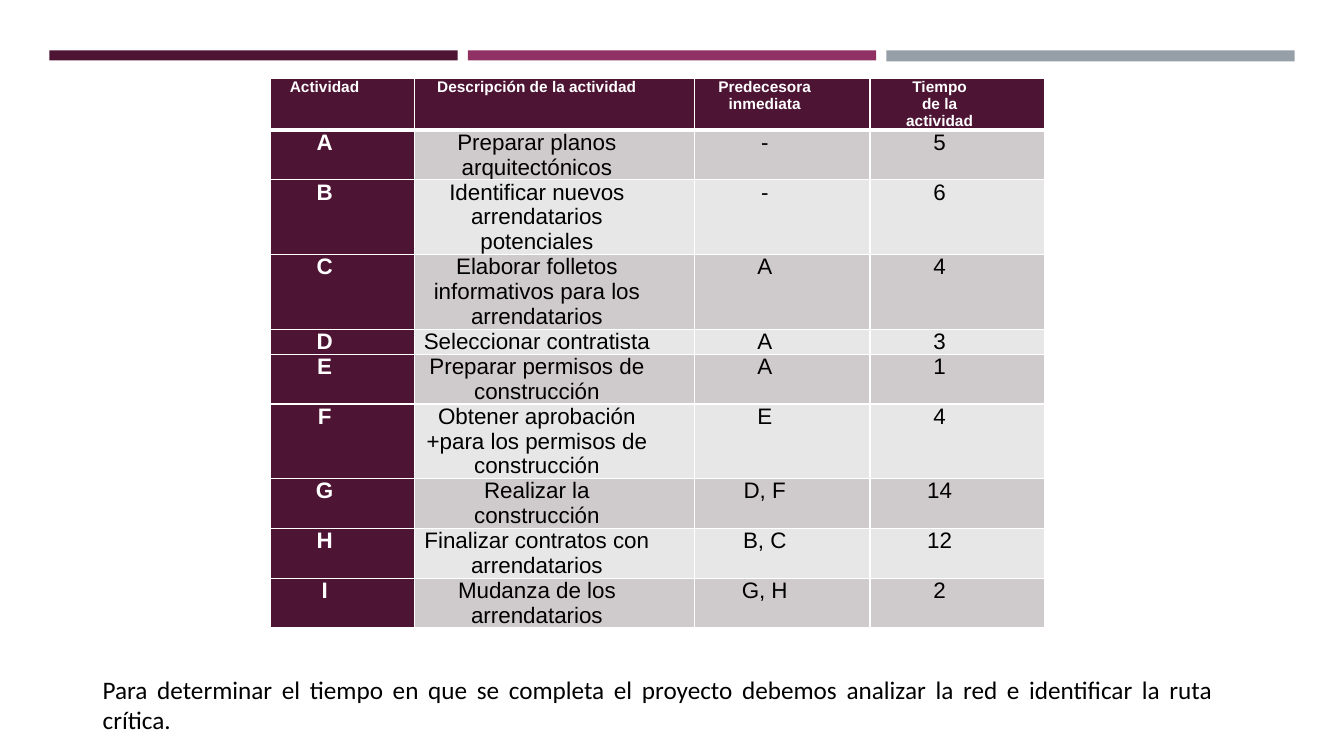
"""Build the project activity table slide."""
from dataclasses import dataclass

from lxml import etree
from pptx import Presentation
from pptx.dml.color import RGBColor
from pptx.enum import shapes, text
from pptx.oxml import ns
from pptx.slide import Slide
from pptx.table import _Cell
from pptx.util import Inches, Pt


@dataclass(frozen=True)
class Theme:
    plum: str = "4D1434"
    magenta: str = "903163"
    slate: str = "969FA7"
    dark_band: str = "CFCACC"
    light_band: str = "E8E7E7"
    white: str = "FFFFFF"
    black: str = "000000"
    table_font: str = "Arial"
    note_font: str = "Calibri"
    header_size: int = 11
    body_size: int = 16
    note_size: int = 18
    thin_border: int = 1
    thick_border: int = 3


@dataclass(frozen=True)
class Activity:
    code: str
    description: str
    predecessors: str
    duration: str
    lines: int


@dataclass(frozen=True)
class CellStyle:
    size: int
    color: str
    bold: bool
    fill: str
    top: int
    bottom: int


@dataclass(frozen=True)
class Bar:
    color: str
    height: float


THEME = Theme()
BARS = [Bar(THEME.plum, 0.1), Bar(THEME.magenta, 0.1), Bar(THEME.slate, 0.11)]
BAR_LEFT, BAR_TOP, BAR_WIDTH, BAR_STEP = 0.49, 0.5, 4.05, 4.15
COLUMN_WIDTHS = [1.43, 2.78, 1.74, 1.73]
HEADER_HEIGHT, LINE_HEIGHT = 0.48, 0.24
HEADERS = [
    "Actividad",
    "Descripción de la actividad",
    "Predecesora\ninmediata",
    "Tiempo\nde la\nactividad",
]
ACTIVITIES = [
    Activity("A", "Preparar planos arquitectónicos", "-", "5", 2),
    Activity("B", "Identificar nuevos arrendatarios potenciales", "-", "6", 3),
    Activity("C", "Elaborar folletos informativos para los arrendatarios", "A", "4", 3),
    Activity("D", "Seleccionar contratista", "A", "3", 1),
    Activity("E", "Preparar permisos de construcción", "A", "1", 2),
    Activity("F", "Obtener aprobación +para los permisos de construcción", "E", "4", 3),
    Activity("G", "Realizar la construcción", "D, F", "14", 2),
    Activity("H", "Finalizar contratos con arrendatarios", "B, C", "12", 2),
    Activity("I", "Mudanza de los arrendatarios", "G, H", "2", 2),
]
NOTE = (
    "Para determinar el tiempo en que se completa el proyecto debemos "
    "analizar la red e identificar la ruta crítica."
)


def draw_bar(page: Slide, index: int, bar: Bar) -> None:
    """Draw one of the coloured bars along the top."""
    box = page.shapes.add_shape(
        shapes.MSO_SHAPE.RECTANGLE,
        Inches(BAR_LEFT + index * BAR_STEP),
        Inches(BAR_TOP),
        Inches(BAR_WIDTH),
        Inches(bar.height),
    )
    box.shadow.inherit = False
    box.fill.solid()
    box.fill.fore_color.rgb = RGBColor.from_string(bar.color)
    box.line.fill.background()


def set_borders(cell: _Cell, style: CellStyle) -> None:
    """Give a cell solid white borders."""
    properties = cell._tc.get_or_add_tcPr()
    widths = {
        "lnL": THEME.thin_border,
        "lnR": THEME.thin_border,
        "lnT": style.top,
        "lnB": style.bottom,
    }
    for position, (tag, width) in enumerate(widths.items()):
        border = etree.Element(ns.qn(f"a:{tag}"), w=str(Pt(width)))
        fill = etree.SubElement(border, ns.qn("a:solidFill"))
        etree.SubElement(fill, ns.qn("a:srgbClr"), val=THEME.white)
        properties.insert(position, border)


def fill_cell(cell: _Cell, content: str, style: CellStyle) -> None:
    """Write and format one table cell."""
    cell.margin_left, cell.margin_right = Inches(0.07), Inches(0.42)
    cell.margin_top = cell.margin_bottom = 0
    cell.fill.solid()
    cell.fill.fore_color.rgb = RGBColor.from_string(style.fill)
    set_borders(cell, style)
    cell.text_frame.text = content
    for para in cell.text_frame.paragraphs:
        para.alignment = text.PP_ALIGN.CENTER
        para.font.name = THEME.table_font
        para.font.size = Pt(style.size)
        para.font.bold = style.bold
        para.font.color.rgb = RGBColor.from_string(style.color)


def style_for(row: int, column: int) -> CellStyle:
    """Choose the format of a cell from its place in the table."""
    heading = row == 0 or column == 0
    band = THEME.dark_band if row % 2 else THEME.light_band
    return CellStyle(
        size=THEME.body_size if row else THEME.header_size,
        color=THEME.white if heading else THEME.black,
        bold=heading,
        fill=THEME.plum if heading else band,
        top=THEME.thick_border if row == 1 else THEME.thin_border,
        bottom=THEME.thin_border if row else THEME.thick_border,
    )


def draw_table(page: Slide) -> None:
    """Draw the activity table."""
    heights = [HEADER_HEIGHT] + [LINE_HEIGHT * item.lines for item in ACTIVITIES]
    rows = [HEADERS] + [
        [item.code, item.description, item.predecessors, item.duration]
        for item in ACTIVITIES
    ]
    table = page.shapes.add_table(
        len(rows),
        len(HEADERS),
        Inches(2.68),
        Inches(0.78),
        Inches(sum(COLUMN_WIDTHS)),
        Inches(sum(heights)),
    ).table
    table.first_col = True
    for column, width in zip(table.columns, COLUMN_WIDTHS):
        column.width = Inches(width)
    for row_index, (values, height) in enumerate(zip(rows, heights)):
        table.rows[row_index].height = Inches(height)
        for column_index, value in enumerate(values):
            style = style_for(row_index, column_index)
            fill_cell(table.cell(row_index, column_index), value, style)


def draw_note(page: Slide) -> None:
    """Draw the closing sentence under the table."""
    box = page.shapes.add_textbox(Inches(0.92), Inches(6.64), Inches(11.21), Inches(1.01))
    box.text_frame.word_wrap = True
    box.text_frame.auto_size = text.MSO_AUTO_SIZE.SHAPE_TO_FIT_TEXT
    para = box.text_frame.paragraphs[0]
    para.text = NOTE
    para.alignment = text.PP_ALIGN.JUSTIFY
    para.font.name = THEME.note_font
    para.font.size = Pt(THEME.note_size)
    para.font.color.rgb = RGBColor.from_string(THEME.black)


def main() -> None:
    """Build and save the deck."""
    deck = Presentation()
    deck.slide_width, deck.slide_height = Inches(13.33), Inches(7.5)
    page = deck.slides.add_slide(deck.slide_layouts[6])
    for index, bar in enumerate(BARS):
        draw_bar(page, index, bar)
    draw_table(page)
    draw_note(page)
    deck.save("out.pptx")


if __name__ == "__main__":
    main()
